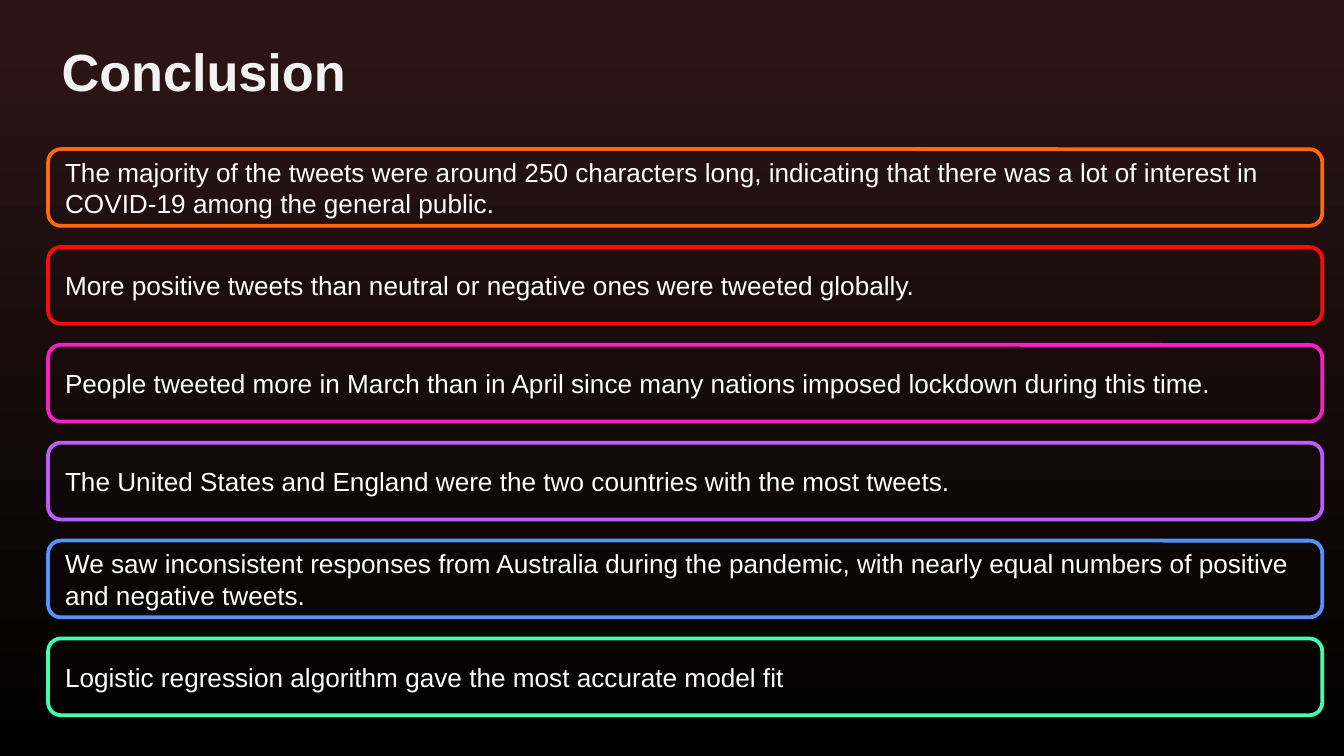
from pptx import Presentation
from pptx.dml.color import RGBColor
from pptx.enum.shapes import MSO_SHAPE as Shape
from pptx.enum.text import MSO_ANCHOR as Anchor, MSO_AUTO_SIZE as AutoSize, PP_ALIGN as Align
from pptx.util import Cm, Pt

TITLE = "Conclusion"
FINDINGS = [
    ("The majority of the tweets were around 250 characters long, indicating that "
     "there was a lot of interest in COVID-19 among the general public.", "orange"),
    ("More positive tweets than neutral or negative ones were tweeted globally.", "red"),
    ("People tweeted more in March than in April since many nations imposed "
     "lockdown during this time.", "pink"),
    ("The United States and England were the two countries with the most tweets.", "purple"),
    ("We saw inconsistent responses from Australia during the pandemic, with nearly "
     "equal numbers of positive and negative tweets.", "blue"),
    ("Logistic regression algorithm gave the most accurate model fit", "green"),
]
COLORS = {
    "bg_top": "2D1515", "bg_bottom": "010101", "title": "F2F2F2", "text": "FFFFFF",
    "orange": "FF690A", "red": "FF0A0A", "pink": "FD1FC5",
    "purple": "BC5DFF", "blue": "5493FF", "green": "41FFAE",
}
LEFT, TOP, WIDTH, HEIGHT, PITCH = 0.91, 2.82, 24.08, 1.45, 1.85


def rgb(name):
    return RGBColor.from_string(COLORS[name])


def write(tf, text, size, color, anchor, bold=False):
    tf.text = text
    tf.word_wrap = True
    tf.vertical_anchor = anchor
    p = tf.paragraphs[0]
    p.alignment = Align.LEFT
    font = p.runs[0].font
    font.name, font.size, font.bold = "Arial", Pt(size), bold
    font.color.rgb = rgb(color)


def paint_background(s):
    fill = s.background.fill
    fill.gradient()
    fill.gradient_angle = 270
    for stop, name in zip(fill.gradient_stops, ("bg_top", "bg_bottom")):
        stop.color.rgb = rgb(name)


def add_title(s):
    sp = s.shapes.title
    sp.left, sp.top, sp.width, sp.height = Cm(LEFT), Cm(0.61), Cm(5.94), Cm(HEIGHT)
    write(sp.text_frame, TITLE, 28, "title", Anchor.TOP, bold=True)
    sp.text_frame.auto_size = AutoSize.SHAPE_TO_FIT_TEXT


def add_finding(s, row, text, color):
    sp = s.shapes.add_shape(Shape.FLOWCHART_ALTERNATE_PROCESS, Cm(LEFT),
                            Cm(TOP + row * PITCH), Cm(WIDTH), Cm(HEIGHT))
    sp.shadow.inherit = False
    sp.fill.background()
    sp.line.color.rgb = rgb(color)
    sp.line.width = Pt(2)
    write(sp.text_frame, text, 14, "text", Anchor.MIDDLE)


def main():
    """Build the conclusion slide with one outlined box per finding."""
    prs = Presentation()
    prs.slide_width, prs.slide_height = Cm(25.4), Cm(14.29)
    s = prs.slides.add_slide(prs.slide_layouts[5])
    paint_background(s)
    add_title(s)
    for row, (text, color) in enumerate(FINDINGS):
        add_finding(s, row, text, color)
    prs.save("out.pptx")


if __name__ == "__main__":
    main()
